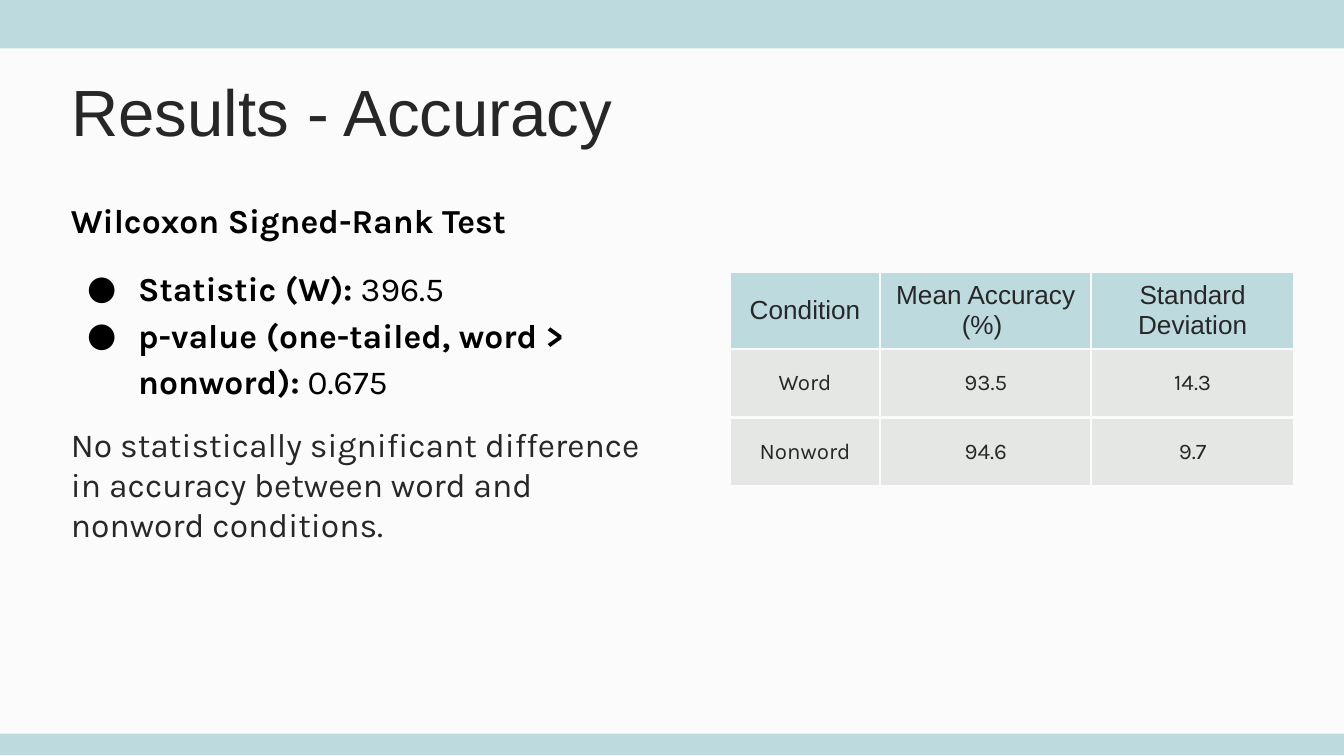
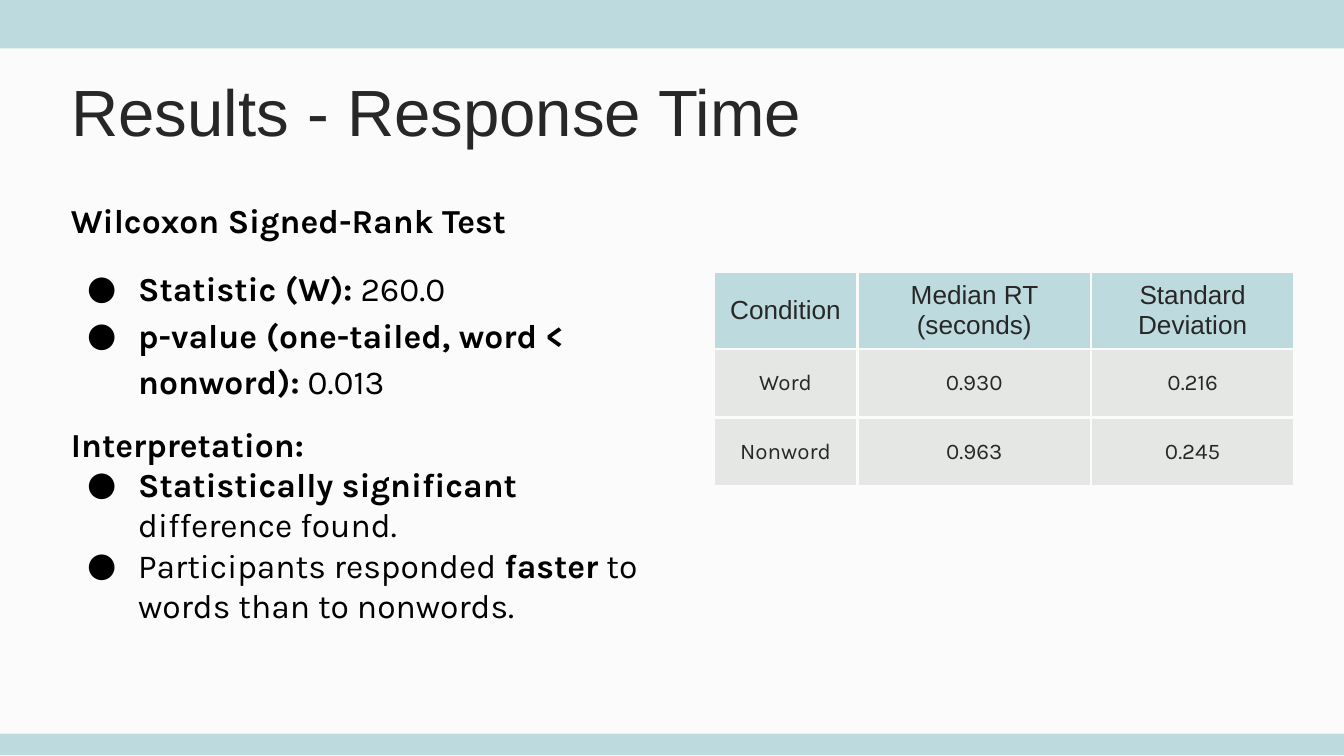
import pptx
import pptx.util
import pptx.dml.color
import pptx.enum.shapes
import pptx.enum.text
import pptx.oxml
import pptx.oxml.ns

Inches, Pt = pptx.util.Inches, pptx.util.Pt
PP_ALIGN, MSO_ANCHOR = pptx.enum.text.PP_ALIGN, pptx.enum.text.MSO_ANCHOR

BAND, PAPER, CELL, INK, BLACK = "BDDADE", "FBFBFB", "E5E7E4", "272727", "000000"
BANDS = [(0, 0.36), (5.46, 0.16)]

TITLE = {"name": "Arial", "size": Pt(35), "bold": False}
HEADER = {"name": "Arial", "size": Pt(14), "bold": False}
VALUE = {"name": "Karla", "size": Pt(12), "bold": False}
BODY = {"name": "Karla", "size": Pt(18)}

HEADING = {"line_spacing": 1.15}
FIRST_RESULT = {"line_spacing": 1.15, "space_before": Pt(12)}
NEXT_RESULT = {"line_spacing": 1.15, "space_before": Pt(0)}
CONCLUSION = {"space_before": Pt(12)}
FINDING = {"space_before": Pt(0)}
BULLETED = [FIRST_RESULT, NEXT_RESULT, FINDING]

SLIDES = [
    {
        "title": "Results - Accuracy",
        "body": [
            (HEADING, BLACK, [("Wilcoxon Signed-Rank Test", True)]),
            (FIRST_RESULT, BLACK, [("Statistic (W):", True), (" 396.5", False)]),
            (NEXT_RESULT, BLACK, [("p-value (one-tailed, word > nonword):", True),
                                  (" 0.675", False)]),
            (CONCLUSION, INK, [("No statistically significant difference in accuracy "
                                "between word and nonword conditions.", False)]),
        ],
        "left": 5.43,
        "widths": [1.12, 1.57, 1.51],
        "rows": [
            ["Condition", "Mean Accuracy (%) ", "Standard Deviation"],
            ["Word", "93.5", "14.3"],
            ["Nonword", "94.6", "9.7"],
        ],
    },
    {
        "title": "Results - Response Time",
        "body": [
            (HEADING, BLACK, [("Wilcoxon Signed-Rank Test", True)]),
            (FIRST_RESULT, BLACK, [("Statistic (W):", True), (" 260.0", False)]),
            (NEXT_RESULT, BLACK, [("p-value (one-tailed, word < nonword):", True),
                                  (" 0.013", False)]),
            (CONCLUSION, BLACK, [("Interpretation:", True)]),
            (FINDING, BLACK, [("Statistically significant", True),
                              (" difference found.", False)]),
            (FINDING, BLACK, [("Participants responded ", False), ("faster", True),
                              (" to words than to nonwords.", False)]),
        ],
        "left": 5.31,
        "widths": [1.07, 1.74, 1.51],
        "rows": [
            ["Condition", "Median RT (seconds)", "Standard Deviation"],
            ["Word", "0.930", "0.216"],
            ["Nonword", "0.963", "0.245"],
        ],
    },
]


def rgb(color):
    return pptx.dml.color.RGBColor.from_string(color)


def fill(obj, color):
    obj.fill.solid()
    obj.fill.fore_color.rgb = rgb(color)


def set_all(obj, values):
    for name, value in values.items():
        setattr(obj, name, value)


def style(font, values, color):
    set_all(font, values)
    font.color.rgb = rgb(color)


def box(left, top, width, height):
    return dict(zip(("left", "top", "width", "height"),
                    map(Inches, (left, top, width, height))))


def margins(x, y):
    return {"margin_left": Inches(x), "margin_right": Inches(x),
            "margin_top": Inches(y), "margin_bottom": Inches(y)}


def xml(text):
    return pptx.oxml.parse_xml(text.replace(" ", f" {pptx.oxml.ns.nsdecls('a')} ", 1))


def add_bands(s, layout):
    for top, height in BANDS:
        sp = s.shapes.add_shape(pptx.enum.shapes.MSO_SHAPE.RECTANGLE,
                                **box(0, top, 10, height))
        sp.shadow.inherit = False
        fill(sp, BAND)
        sp.line.fill.background()
        layout.shapes._spTree.insert(2, sp._element)


def frame(sp):
    tf = sp.text_frame
    set_all(tf, {"word_wrap": True, "vertical_anchor": MSO_ANCHOR.TOP,
                 "auto_size": pptx.enum.text.MSO_AUTO_SIZE.NONE, **margins(0.1, 0.1)})
    return tf


def add_title(s, text):
    sp = s.shapes.title
    set_all(sp, box(0.43, 0.43, 6.85, 0.92))
    p = frame(sp).paragraphs[0]
    p.text = text
    p.alignment = PP_ALIGN.LEFT
    style(p.runs[0].font, TITLE, INK)


def add_bullet(p):
    pPr = p._p.get_or_add_pPr()
    pPr.set("marL", str(Inches(0.5)))
    pPr.set("indent", str(Inches(-0.38)))
    pPr.append(xml(f'<a:buClr ><a:srgbClr val="{BLACK}"/></a:buClr>'))
    pPr.append(xml(f'<a:buFont typeface="{BODY["name"]}"/>'))
    pPr.append(xml('<a:buChar char="●"/>'))


def add_body(s, paragraphs):
    tf = frame(s.shapes.add_textbox(**box(0.43, 1.34, 4.66, 3.79)))
    for i, (spacing, color, runs) in enumerate(paragraphs):
        p = tf.add_paragraph() if i else tf.paragraphs[0]
        if spacing in BULLETED:
            add_bullet(p)
        set_all(p, spacing)
        for text, bold in runs:
            r = p.add_run()
            r.text = text
            style(r.font, {**BODY, "bold": bold}, color)


def add_borders(cell):
    tcPr = cell._tc.get_or_add_tcPr()
    for i, side in enumerate("LRTB"):
        tcPr.insert(i, xml(f'<a:ln{side} w="{Pt(1.5)}"><a:solidFill><a:srgbClr val="{PAPER}"/>'
                           f'</a:solidFill></a:ln{side}>'))


def add_results(s, left, widths, rows):
    row_height = 0.51
    table = s.shapes.add_table(len(rows), len(widths), **box(
        left, 2.02, sum(widths), row_height * len(rows))).table
    for column, width in zip(table.columns, widths):
        column.width = Inches(width)
    for i, row in enumerate(rows):
        table.rows[i].height = Inches(row_height)
        for j, text in enumerate(row):
            cell = table.cell(i, j)
            set_all(cell, {"vertical_anchor": MSO_ANCHOR.MIDDLE,
                           **(margins(0, 0) if i else margins(0.1, 0.07))})
            fill(cell, CELL if i else BAND)
            add_borders(cell)
            p = cell.text_frame.paragraphs[0]
            p.text = text
            p.alignment = PP_ALIGN.CENTER
            style(p.runs[0].font, VALUE if i else HEADER, INK)


def main():
    prs = pptx.Presentation()
    prs.slide_width = Inches(10)
    prs.slide_height = prs.slide_width * 9 // 16
    fill(prs.slide_master.background, PAPER)
    layout = prs.slide_layouts.get_by_name("Title Only")
    for i, content in enumerate(SLIDES):
        s = prs.slides.add_slide(layout)
        if i == 0:
            add_bands(s, layout)
        add_title(s, content["title"])
        add_results(s, content["left"], content["widths"], content["rows"])
        add_body(s, content["body"])
    prs.save("out.pptx")


if __name__ == "__main__":
    main()
